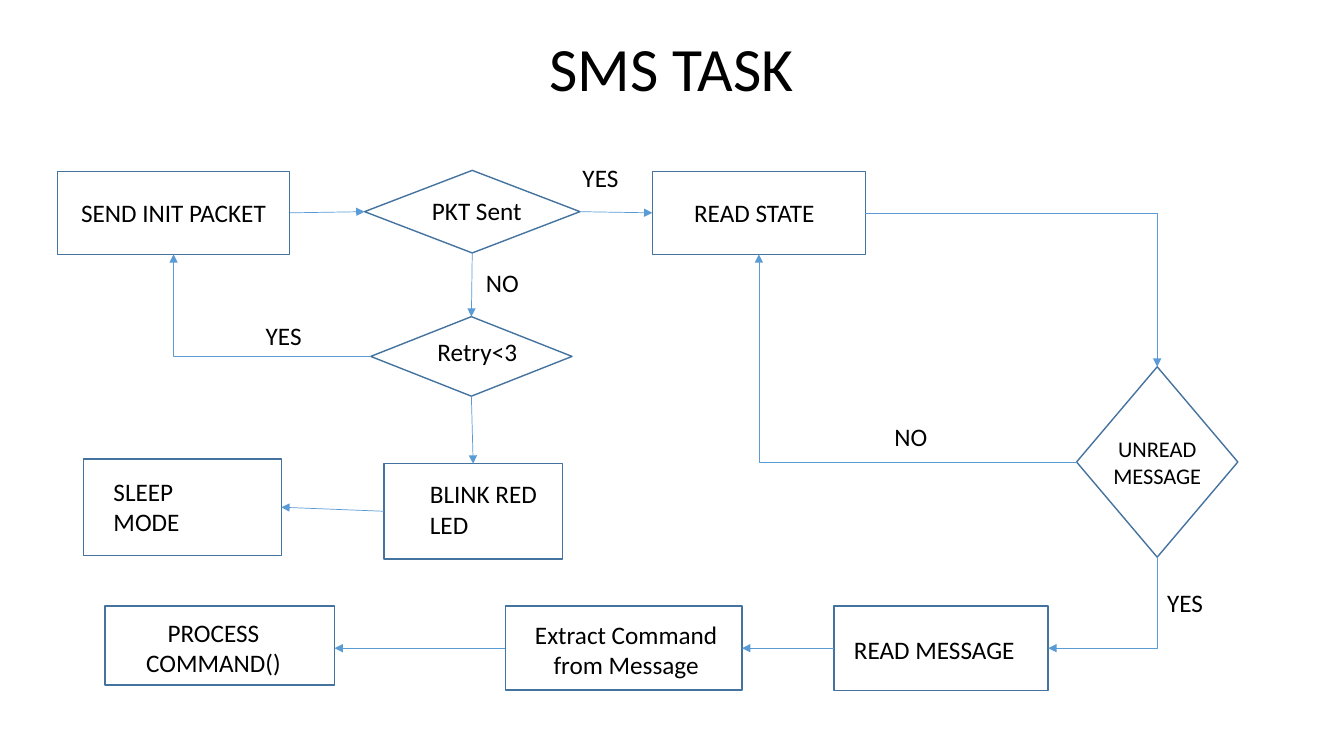
from dataclasses import dataclass
from enum import IntEnum
from typing import Optional

from lxml import etree
from pptx import Presentation
from pptx.dml.color import RGBColor
from pptx.enum import shapes, text
from pptx.oxml import ns
from pptx.util import Pt

COLORS = {"fill": "FFFFFF", "outline": "43739E", "arrow": "5B9BD5", "text": "000000"}
FONT = "Calibri"
RECTANGLE = shapes.MSO_SHAPE.RECTANGLE
PROCESS = shapes.MSO_SHAPE.FLOWCHART_PROCESS
DECISION = shapes.MSO_SHAPE.FLOWCHART_DECISION
DIAMOND = shapes.MSO_SHAPE.DIAMOND
LEFT_ALIGN = text.PP_ALIGN.LEFT
CENTER = text.PP_ALIGN.CENTER


class Side(IntEnum):
    TOP = 0
    LEFT = 1
    BOTTOM = 2
    RIGHT = 3


@dataclass(frozen=True)
class Step:
    name: str
    kind: shapes.MSO_SHAPE
    left: float
    top: float
    width: float
    height: float


@dataclass(frozen=True)
class Label:
    words: str
    left: float
    top: float
    width: float
    height: float = 29
    align: text.PP_ALIGN = LEFT_ALIGN
    size: float = 18
    wrap: bool = True


@dataclass(frozen=True)
class Arrow:
    source: str
    source_side: Side
    target: str
    target_side: Optional[Side]
    bent: bool = False


STEPS = [
    Step("send", RECTANGLE, 41, 122.4, 166, 59.3),
    Step("sent", DECISION, 260.4, 121.7, 153.9, 59),
    Step("state", RECTANGLE, 466, 122.4, 152.2, 59.3),
    Step("retry", DECISION, 264.8, 226.2, 143.8, 56.8),
    Step("blink", RECTANGLE, 274.3, 331.2, 127.4, 68),
    Step("sleep", RECTANGLE, 59.7, 327.8, 141.2, 69),
    Step("unread", DIAMOND, 769, 262, 115.2, 136),
    Step("read", PROCESS, 595.7, 433, 153, 60),
    Step("extract", RECTANGLE, 361, 433, 169, 60),
    Step("process", RECTANGLE, 75, 433, 164, 56.4),
]

LABELS = [
    Label("SEND INIT PACKET", 41, 137.5, 166, align=CENTER),
    Label("PKT Sent", 301.5, 136.3, 98.6),
    Label("READ STATE", 488.7, 137.5, 106.6),
    Label("Retry<3", 305.4, 237, 91.4),
    Label("BLINK RED LED", 300, 338.4, 95, 51),
    Label("SLEEP MODE", 74, 336.8, 100, 51),
    Label("UNREAD MESSAGE", 773.3, 307.4, 106.6, 46, CENTER, 16),
    Label("READ MESSAGE", 595.7, 449.4, 143.3, align=CENTER),
    Label("Extract Command from Message", 367.3, 438.5, 160, 51, CENTER),
    Label("PROCESS COMMAND()", 85.5, 437.5, 134, 51, CENTER),
    Label("YES", 409, 112.5, 44),
    Label("NO", 340, 187.5, 38, wrap=False),
    Label("YES", 182.7, 225.5, 40, wrap=False),
    Label("NO ", 594, 297.3, 117.4, align=CENTER),
    Label("YES", 826.5, 416.3, 40, wrap=False),
]

ARROWS = [
    Arrow("send", Side.RIGHT, "sent", Side.LEFT),
    Arrow("sent", Side.RIGHT, "state", Side.LEFT),
    Arrow("sent", Side.BOTTOM, "retry", Side.TOP),
    Arrow("retry", Side.LEFT, "send", Side.BOTTOM, bent=True),
    Arrow("retry", Side.BOTTOM, "blink", Side.TOP),
    Arrow("blink", Side.LEFT, "sleep", Side.RIGHT),
    Arrow("state", Side.RIGHT, "unread", Side.TOP, bent=True),
    Arrow("unread", Side.LEFT, "state", Side.BOTTOM, bent=True),
    Arrow("unread", Side.BOTTOM, "read", Side.RIGHT, bent=True),
    Arrow("read", Side.LEFT, "extract", Side.RIGHT),
    Arrow("extract", Side.LEFT, "process", None),
]


def color(name: str) -> RGBColor:
    return RGBColor.from_string(COLORS[name])


def draw_step(slide, step: Step):
    shape = slide.shapes.add_shape(
        step.kind, Pt(step.left), Pt(step.top), Pt(step.width), Pt(step.height)
    )
    shape.shadow.inherit = False
    shape.fill.solid()
    shape.fill.fore_color.rgb = color("fill")
    shape.line.color.rgb = color("outline")
    shape.line.width = Pt(1)
    return shape


def draw_label(slide, label: Label):
    box = slide.shapes.add_textbox(
        Pt(label.left), Pt(label.top), Pt(label.width), Pt(label.height)
    )
    frame = box.text_frame
    frame.word_wrap = label.wrap
    frame.auto_size = text.MSO_AUTO_SIZE.SHAPE_TO_FIT_TEXT
    paragraph = frame.paragraphs[0]
    paragraph.text = label.words
    paragraph.alignment = label.align
    paragraph.font.name = FONT
    paragraph.font.size = Pt(label.size)
    paragraph.font.color.rgb = color("text")
    return frame


def turn_downward(connector) -> None:
    left, top, width, height = connector.left, connector.top, connector.width, connector.height
    connector.left = left + (width - height) // 2
    connector.top = top + (height - width) // 2
    connector.width, connector.height = height, width
    transform = connector._element.spPr.find(ns.qn("a:xfrm"))
    transform.attrib.pop("flipH", None)
    transform.set("rot", "5400000")


def draw_arrow(slide, arrow: Arrow, steps: dict) -> None:
    source, target = steps[arrow.source], steps[arrow.target]
    kind = shapes.MSO_CONNECTOR.ELBOW if arrow.bent else shapes.MSO_CONNECTOR.STRAIGHT
    level = source.top + source.height // 2
    connector = slide.shapes.add_connector(
        kind, source.left, level, target.left + target.width, level
    )
    connector.begin_connect(source, arrow.source_side)
    if arrow.target_side is not None:
        connector.end_connect(target, arrow.target_side)
    connector.line.color.rgb = color("arrow")
    connector.line.width = Pt(0.5)
    properties = connector._element.spPr
    if arrow.bent:
        properties.find(ns.qn("a:prstGeom")).set("prst", "bentConnector2")
        if arrow.source_side == Side.BOTTOM:
            turn_downward(connector)
    line = properties.find(ns.qn("a:ln"))
    etree.SubElement(line, ns.qn("a:tailEnd")).set("type", "triangle")
    etree.SubElement(properties, ns.qn("a:effectLst"))


def main() -> None:
    presentation = Presentation()
    presentation.slide_width, presentation.slide_height = Pt(960), Pt(540)
    slide = presentation.slides.add_slide(presentation.slide_layouts[6])
    title = draw_label(slide, Label("SMS TASK", 66, 0, 828, 101.5, CENTER, 44))
    title.auto_size = text.MSO_AUTO_SIZE.NONE
    title.vertical_anchor = text.MSO_ANCHOR.MIDDLE
    title.paragraphs[0].line_spacing = 0.9
    steps = {step.name: draw_step(slide, step) for step in STEPS}
    for arrow in ARROWS:
        draw_arrow(slide, arrow, steps)
    for label in LABELS:
        draw_label(slide, label)
    presentation.save("out.pptx")


main()
